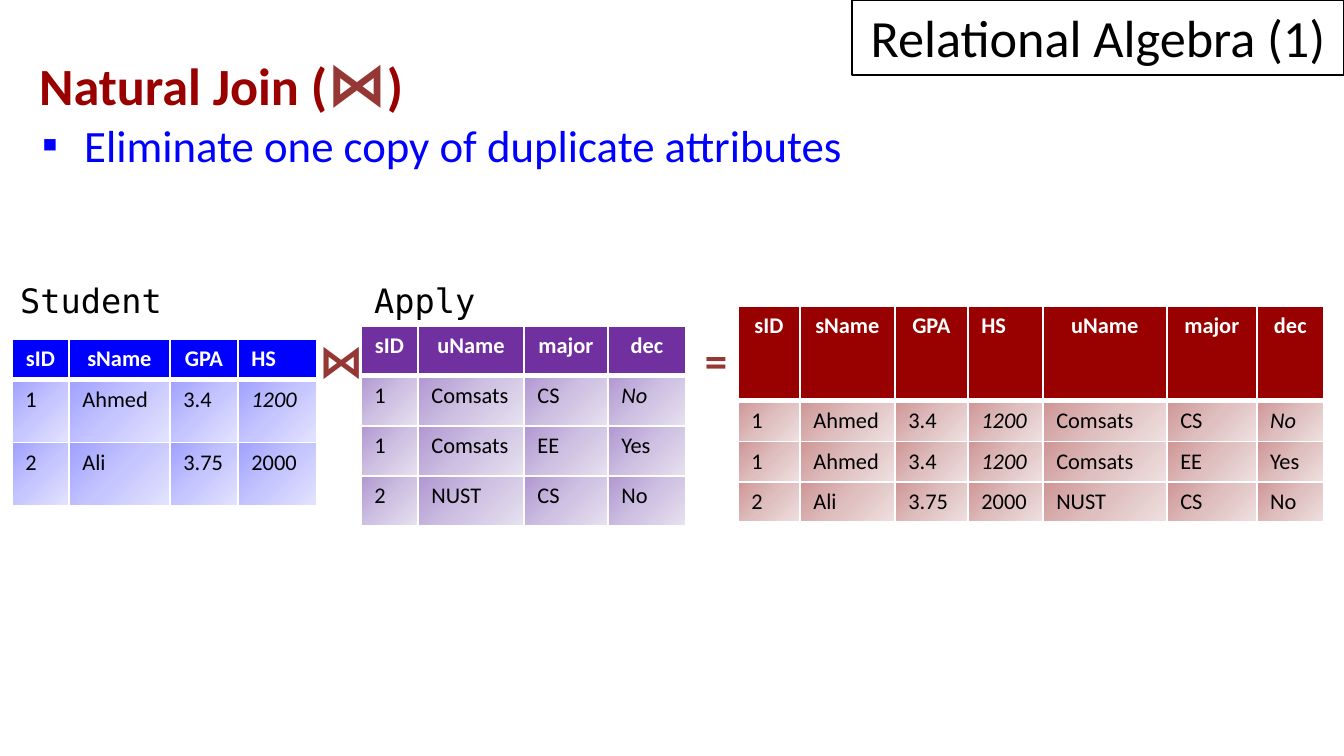
from lxml.etree import SubElement
from pptx import Presentation
from pptx.dml.color import RGBColor
from pptx.enum.shapes import MSO_SHAPE as Shape
from pptx.enum.text import MSO_ANCHOR as Anchor, PP_ALIGN as Align
from pptx.oxml.ns import qn
from pptx.util import Emu, Pt

PX_PER_INCH = 134.4
RED, BROWN, BLUE, PURPLE = "990000", "953735", "0000FF", "7030A0"
BLACK, WHITE = "000000", "FFFFFF"

# A value that starts with * is set in italics.
STUDENT_HEAD = ["sID", "sName", "GPA", "HS"]
STUDENT = [["1", "Ahmed", "3.4", "*1200"], ["2", "Ali", "3.75", "2000"]]
APPLY_HEAD = ["sID", "uName", "major", "dec"]
APPLY = [["1", "Comsats", "CS", "*No"],
         ["1", "Comsats", "EE", "Yes"],
         ["2", "NUST", "CS", "No"]]


def px(length):
    return Emu(round(length * 914400 / PX_PER_INCH))


def rgb(color):
    return RGBColor.from_string(color)


def write(paragraph, text, size=12, color=BLACK, bold=False, italic=False,
          font="Calibri", align=Align.LEFT):
    """Append one formatted run to the paragraph."""
    paragraph.alignment = align
    run = paragraph.add_run()
    run.text = text
    run.font.size = Pt(size)
    run.font.name = font
    run.font.bold = bold
    run.font.italic = italic
    run.font.color.rgb = rgb(color)


def add_box(slide, x, y, width, height, wrap=False, inset=True):
    frame = slide.shapes.add_textbox(px(x), px(y), px(width), px(height)).text_frame
    frame.word_wrap = wrap
    if not inset:
        frame.margin_left = frame.margin_right = 0
        frame.margin_top = frame.margin_bottom = 0
    return frame


def add_corner_title(slide, text):
    corner = slide.shapes.add_shape(Shape.RECTANGLE, px(852), 0, px(492), px(75))
    corner.shadow.inherit = False
    corner.fill.background()
    corner.line.color.rgb = rgb(BLACK)
    corner.line.width = Pt(0.75)
    corner.text_frame.vertical_anchor = Anchor.BOTTOM
    write(corner.text_frame.paragraphs[0], text, size=28, align=Align.CENTER)


def set_indent(paragraph, left, first, bullet=None):
    properties = paragraph._p.get_or_add_pPr()
    properties.set("marL", str(px(left)))
    properties.set("indent", str(px(first)))
    if bullet:
        color = SubElement(properties, qn("a:buClr"))
        SubElement(color, qn("a:srgbClr"), val=BLUE)
        SubElement(properties, qn("a:buFont"), typeface="Calibri")
        SubElement(properties, qn("a:buChar"), char=bullet)


def add_heading(slide):
    frame = add_box(slide, 12, 39, 1224, 140, wrap=True)
    heading = frame.paragraphs[0]
    write(heading, "Natural Join (", size=28, color=RED, bold=True)
    write(heading, "⋈", size=32, color=BROWN, bold=True)
    write(heading, ")", size=28, color=RED, bold=True)
    set_indent(heading, 89, -75)
    point = frame.add_paragraph()
    write(point, "Eliminate one copy of duplicate attributes", size=24, color=BLUE)
    set_indent(point, 59, -42, bullet="▪")


def set_borders(cell, bottom):
    properties = cell._tc.get_or_add_tcPr()
    for side, width in (("L", 1), ("R", 1), ("T", 1), ("B", bottom)):
        line = SubElement(properties, qn(f"a:ln{side}"), w=str(Pt(width)))
        fill = SubElement(line, qn("a:solidFill"))
        SubElement(fill, qn("a:srgbClr"), val=WHITE)


def fill_gradient(cell, colors):
    """Fill with evenly spaced colours at 45 degrees."""
    gradient = SubElement(cell._tc.get_or_add_tcPr(), qn("a:gradFill"), rotWithShape="1")
    stops = SubElement(gradient, qn("a:gsLst"))
    for i, color in enumerate(colors):
        position = 100000 * i // (len(colors) - 1)
        stop = SubElement(stops, qn("a:gs"), pos=str(position))
        SubElement(stop, qn("a:srgbClr"), val=color)
    SubElement(gradient, qn("a:lin"), ang=str(45 * 60000), scaled="0")


def add_relation(slide, x, y, head, body, widths, heights, head_color, body_colors):
    table = slide.shapes.add_table(len(body) + 1, len(head), px(x), px(y),
                                   px(sum(widths)), px(sum(heights))).table
    table.horz_banding = False
    for column, width in zip(table.columns, widths):
        column.width = px(width)
    for row, height in zip(table.rows, heights):
        row.height = px(height)
    for c, name in enumerate(head):
        cell = table.cell(0, c)
        set_borders(cell, bottom=3)
        cell.fill.solid()
        cell.fill.fore_color.rgb = rgb(head_color)
        write(cell.text_frame.paragraphs[0], name, color=WHITE, bold=True,
              align=Align.LEFT if name == "HS" else Align.CENTER)
    for r, values in enumerate(body, start=1):
        for c, value in enumerate(values):
            cell = table.cell(r, c)
            set_borders(cell, bottom=1)
            fill_gradient(cell, body_colors)
            write(cell.text_frame.paragraphs[0], value.lstrip("*"),
                  italic=value.startswith("*"))


def natural_join(left, right):
    """Join rows on their first column and keep that column once."""
    return [a + b[1:] for a in left for b in right if a[0] == b[0]]


def main():
    deck = Presentation()
    deck.slide_width, deck.slide_height = px(1344), px(756)
    slide = deck.slides.add_slide(deck.slide_layouts[6])

    add_heading(slide)
    add_corner_title(slide, "Relational Algebra (1)")
    add_relation(slide, 738, 306, STUDENT_HEAD + APPLY_HEAD[1:],
                 natural_join(STUDENT, APPLY),
                 [62, 95, 73, 75, 124, 90, 67], [95, 40, 40, 40],
                 RED, ["CF9595", "DFBFBF", "EFE0E0"])
    add_relation(slide, 12, 339, STUDENT_HEAD, STUDENT,
                 [57, 101, 68, 79], [40, 63, 63],
                 BLUE, ["A0A0FF", "C5C5FF", "E3E3FF"])
    add_relation(slide, 361, 326, APPLY_HEAD, APPLY,
                 [57, 106, 84, 78], [50] * 4,
                 PURPLE, ["B197D2", "CEC1E2", "E7E1F0"])
    for name, x, width in (("Student", 7, 171), ("Apply", 361, 129)):
        label = add_box(slide, x, 273, width, 54)
        write(label.paragraphs[0], name, size=18, font="DejaVu Sans Mono")
    for symbol, x in (("⋈", 319), ("=", 705)):
        operator = add_box(slide, x, 333, 40, 55, inset=False)
        write(operator.paragraphs[0], symbol, size=24, color=BROWN, bold=True)

    deck.save("out.pptx")


if __name__ == "__main__":
    main()
